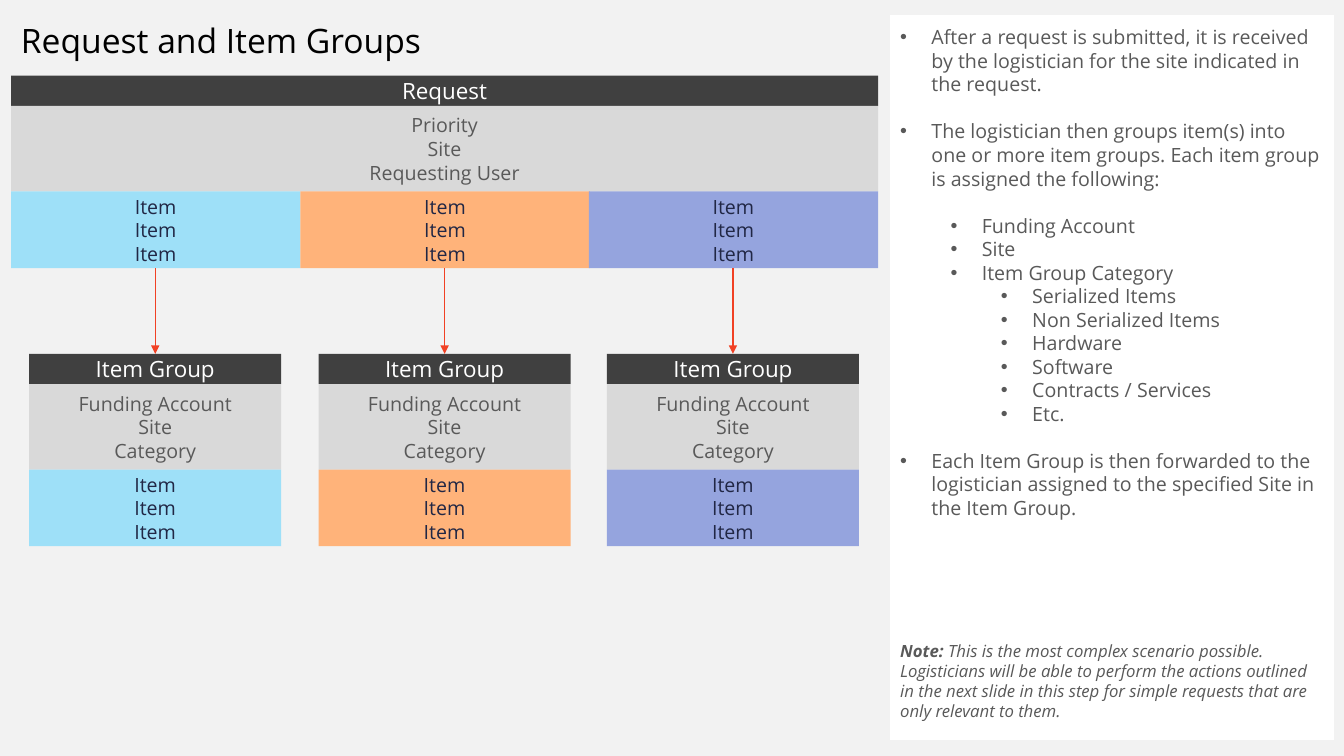
import dataclasses

import lxml.etree
import pptx
import pptx.dml.color
import pptx.enum.shapes
import pptx.enum.text
import pptx.oxml.ns
import pptx.util

PX = 9144  # EMU per px, 100 px to the inch
FONT = "Open Sans"
LINE_HEIGHT = 1.2

DARK, LIGHT, WHITE, GRAY, NAVY = "404040", "D9D9D9", "FFFFFF", "595959", "212745"
RED = "F14124"
COLUMN_FILLS = ["9EE0F8", "FFB37A", "95A4DE"]

LEFT, WIDTH = 11, 860
ITEM_WIDTH, GROUP_WIDTH = 287, 250
HEADER_HEIGHT, DETAIL_HEIGHT, ITEM_HEIGHT = 30, 85, 76
REQUEST_TOP, GROUP_TOP = 75, 351
ITEMS = ["Item"] * 3


@dataclasses.dataclass
class Box:
    left: int
    top: int
    width: int
    height: int
    fill: str


@dataclasses.dataclass
class Bullet:
    text: str
    level: int = 0
    before: float = 0


BULLETS = [
    Bullet("After a request is submitted, it is received by the logistician "
           "for the site indicated in the request."),
    Bullet("The logistician then groups item(s) into one or more item groups. "
           "Each item group is assigned the following:", before=16.8),
    Bullet("Funding Account", 1, 16.8),
    Bullet("Site", 1),
    Bullet("Item Group Category", 1),
    Bullet("Serialized Items", 2),
    Bullet("Non Serialized Items", 2),
    Bullet("Hardware", 2),
    Bullet("Software", 2),
    Bullet("Contracts / Services", 2),
    Bullet("Etc.", 2),
    Bullet("Each Item Group is then forwarded to the logistician assigned "
           "to the specified Site in the Item Group.", before=16.8),
]


def px(n: int) -> pptx.util.Emu:
    return pptx.util.Emu(n * PX)


def rgb(color: str) -> pptx.dml.color.RGBColor:
    return pptx.dml.color.RGBColor.from_string(color)


def add_text(p, text: str, *, size: int, color: str, align: str = "LEFT",
             before: float = 0, bold: bool = False, italic: bool = False) -> None:
    """Append a run to paragraph p and set the paragraph's spacing."""
    p.alignment = getattr(pptx.enum.text.PP_ALIGN, align)
    p.line_spacing = pptx.util.Pt(size * LINE_HEIGHT)
    p.space_before = pptx.util.Pt(before)
    r = p.add_run()
    r.text = text
    r.font.name = FONT
    r.font.size = pptx.util.Pt(size)
    r.font.color.rgb = rgb(color)
    r.font.bold = bold
    r.font.italic = italic


def next_paragraph(tf):
    """Return the first paragraph while it is empty, then new ones."""
    p = tf.paragraphs[0]
    return tf.add_paragraph() if p.runs else p


def add_box(s, box: Box):
    sp = s.shapes.add_shape(
        pptx.enum.shapes.MSO_SHAPE.RECTANGLE,
        px(box.left), px(box.top), px(box.width), px(box.height))
    sp.shadow.inherit = False
    sp.fill.solid()
    sp.fill.fore_color.rgb = rgb(box.fill)
    sp.line.fill.background()
    sp.text_frame.word_wrap = True
    return sp


def add_label(s, box: Box, lines: list[str], size: int, color: str) -> None:
    tf = add_box(s, box).text_frame
    tf.vertical_anchor = pptx.enum.text.MSO_ANCHOR.MIDDLE
    for line in lines:
        add_text(next_paragraph(tf), line, size=size, color=color, align="CENTER")


def add_header_and_details(s, left: int, top: int, width: int,
                           title: str, details: list[str]) -> int:
    """Draw the two upper bands of a card and return the top of the next."""
    add_label(s, Box(left, top, width, HEADER_HEIGHT, DARK), [title], 16, WHITE)
    top += HEADER_HEIGHT
    add_label(s, Box(left, top, width, DETAIL_HEIGHT, LIGHT), details, 14, GRAY)
    return top + DETAIL_HEIGHT


def add_arrow(s, x: int, top: int, bottom: int) -> None:
    cx = s.shapes.add_connector(
        pptx.enum.shapes.MSO_CONNECTOR.STRAIGHT, px(x), px(top), px(x), px(bottom))
    cx.line.color.rgb = rgb(RED)
    cx.line.width = pptx.util.Pt(1)
    qn = pptx.oxml.ns.qn
    lxml.etree.SubElement(cx.line._get_or_add_ln(), qn("a:tailEnd"), type="triangle")
    lxml.etree.SubElement(cx._element.spPr, qn("a:effectLst"))


def set_bullet(p, level: int) -> None:
    p.level = level
    pPr = p._p.get_or_add_pPr()
    pPr.set("marL", str(px(31 + 50 * level)))
    pPr.set("indent", str(px(-31)))
    qn = pptx.oxml.ns.qn
    lxml.etree.SubElement(pPr, qn("a:buFont"), typeface="Arial")
    lxml.etree.SubElement(pPr, qn("a:buChar"), char="•")


def add_diagram(s) -> None:
    item_top = add_header_and_details(
        s, LEFT, REQUEST_TOP, WIDTH, "Request",
        ["Priority", "Site", "Requesting User"])
    for i, fill in enumerate(COLUMN_FILLS):
        left = LEFT + round(i * WIDTH / 3)
        add_label(s, Box(left, item_top, ITEM_WIDTH, ITEM_HEIGHT, fill),
                  ITEMS, 14, NAVY)
        group_left = left + 18
        group_item_top = add_header_and_details(
            s, group_left, GROUP_TOP, GROUP_WIDTH, "Item Group",
            ["Funding Account", "Site", "Category"])
        add_label(s, Box(group_left, group_item_top, GROUP_WIDTH, ITEM_HEIGHT, fill),
                  ITEMS, 14, NAVY)
        add_arrow(s, group_left + GROUP_WIDTH // 2,
                  item_top + ITEM_HEIGHT, GROUP_TOP)


def add_panel(s) -> None:
    tf = add_box(s, Box(883, 15, 440, 719, WHITE)).text_frame
    tf.vertical_anchor = pptx.enum.text.MSO_ANCHOR.TOP
    tf.margin_left = tf.margin_right = tf.margin_top = tf.margin_bottom = px(10)
    for bullet in BULLETS:
        p = next_paragraph(tf)
        add_text(p, bullet.text, size=14, color=GRAY, before=bullet.before)
        set_bullet(p, bullet.level)
    p = tf.add_paragraph()
    note = dict(size=12, color=GRAY, before=86.4, italic=True)
    add_text(p, "Note: ", bold=True, **note)
    add_text(p, "This is the most complex scenario possible. Logisticians will be "
                "able to perform the actions outlined in the next slide in this step "
                "for simple requests that are only relevant to them.", **note)


def add_title(s) -> None:
    tf = s.shapes.add_textbox(px(LEFT), px(15), px(WIDTH), px(50)).text_frame
    tf.word_wrap = True
    add_text(tf.paragraphs[0], "Request and Item Groups", size=24, color="000000")


def main() -> None:
    prs = pptx.Presentation()
    prs.slide_width, prs.slide_height = px(1333), px(750)
    s = prs.slides.add_slide(prs.slide_layouts[6])
    s.background.fill.solid()
    s.background.fill.fore_color.rgb = rgb("F2F2F2")
    add_diagram(s)
    add_panel(s)
    add_title(s)
    prs.save("out.pptx")


if __name__ == "__main__":
    main()
